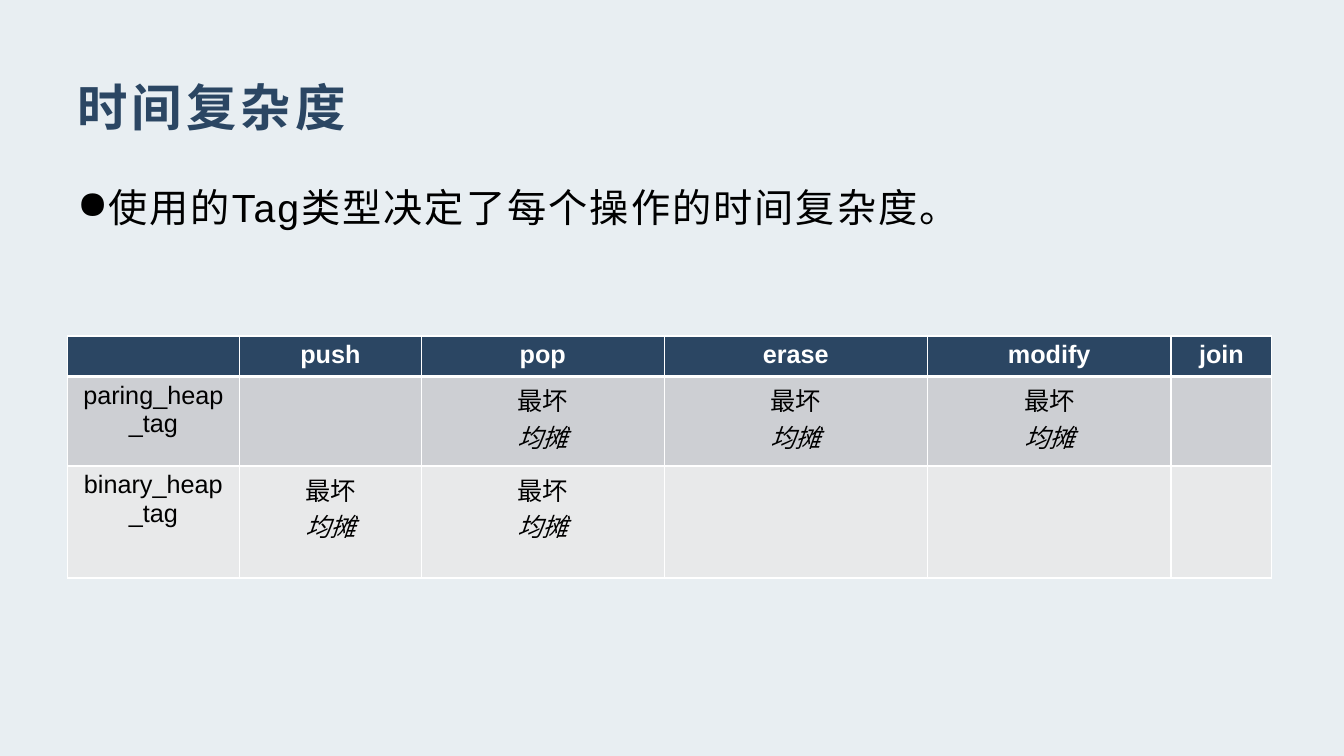
from dataclasses import dataclass

from lxml import etree
from pptx import Presentation
from pptx.dml.color import RGBColor
from pptx.enum import text
from pptx.oxml import ns
from pptx.util import Pt


@dataclass(frozen=True)
class Theme:
    background: str = "E8EEF2"
    accent: str = "2B4663"
    ink: str = "000000"
    white: str = "FFFFFF"
    bands: tuple = ("CDCFD3", "E8E9EA")
    latin: str = "Arial"
    serif: str = "Times New Roman"
    title_size: int = 36
    body_size: int = 28
    table_size: int = 18


class SlideBuilder:
    def __init__(self, prs, theme):
        self.theme = theme
        self.slide = prs.slides.add_slide(prs.slide_layouts[6])
        self.paint(self.slide.background.fill, theme.background)

    def paint(self, fill, color):
        fill.solid()
        fill.fore_color.rgb = RGBColor.from_string(color)

    def style(self, p, size, color, bold=False, italic=False, name=None, spacing=0):
        font = p.font
        font.name = name or self.theme.latin
        font.size = Pt(size)
        font.bold = bold
        font.italic = italic
        font.color.rgb = RGBColor.from_string(color)
        if spacing:
            p._p.pPr.find(ns.qn("a:defRPr")).set("spc", str(int(spacing * 100)))

    def text_box(self, words, box, size, color, anchor, bold=False, spacing=0):
        sp = self.slide.shapes.add_textbox(*map(Pt, box))
        tf = sp.text_frame
        tf.word_wrap = True
        tf.vertical_anchor = anchor
        p = tf.paragraphs[0]
        p.text = words
        self.style(p, size, color, bold, spacing=spacing)
        return p

    def bullet(self, p, char, indent):
        pPr = p._p.get_or_add_pPr()
        pPr.set("marL", str(Pt(indent)))
        pPr.set("indent", str(-Pt(indent)))
        bu = etree.Element(ns.qn("a:buChar"), char=char)
        pPr.find(ns.qn("a:defRPr")).addprevious(bu)

    def borders(self, cell, widths):
        tcPr = cell._tc.get_or_add_tcPr()
        for i, (side, width) in enumerate(widths.items()):
            ln = etree.Element(ns.qn(f"a:ln{side}"), w=str(Pt(width)))
            fill = etree.SubElement(ln, ns.qn("a:solidFill"))
            etree.SubElement(fill, ns.qn("a:srgbClr"), val=self.theme.white)
            tcPr.insert(i, ln)

    def cell(self, cell, words, row, col):
        theme = self.theme
        header = row == 0
        self.paint(cell.fill, theme.accent if header else theme.bands[row - 1])
        self.borders(cell, {"L": 1, "R": 1, "T": 3 if row == 1 else 1, "B": 3 if header else 1})
        cell.text = words
        name = theme.latin if header or col == 0 else theme.serif
        for i, p in enumerate(cell.text_frame.paragraphs):
            p.alignment = text.PP_ALIGN.CENTER
            self.style(p, theme.table_size, theme.white if header else theme.ink,
                       bold=header, italic=i > 0, name=name)

    def table(self, left, top, widths, heights, rows):
        frame = self.slide.shapes.add_table(
            len(rows), len(widths), Pt(left), Pt(top), Pt(sum(widths)), Pt(sum(heights)))
        table = frame.table
        for column, width in zip(table.columns, widths):
            column.width = Pt(width)
        for r, (height, values) in enumerate(zip(heights, rows)):
            table.rows[r].height = Pt(height)
            for c, words in enumerate(values):
                self.cell(table.cell(r, c), words, r, c)


def main():
    prs = Presentation()
    prs.slide_width, prs.slide_height = Pt(960), Pt(540)
    theme = Theme()
    builder = SlideBuilder(prs, theme)

    builder.text_box("时间复杂度", (48, 48, 864, 55.5), theme.title_size, theme.accent,
                     text.MSO_ANCHOR.MIDDLE, bold=True, spacing=3)
    p = builder.text_box("使用的Tag类型决定了每个操作的时间复杂度。", (48, 117.5, 864, 374.5),
                         theme.body_size, theme.ink, text.MSO_ANCHOR.TOP, spacing=1.5)
    p.line_spacing = 1.3
    p.space_after = Pt(10)
    builder.bullet(p, "●", 18)

    cost = "最坏\n均摊"
    builder.table(48, 240, (123, 130, 173.5, 188, 174, 72), (28.8, 64, 80), (
        ("", "push", "pop", "erase", "modify", "join"),
        ("paring_heap_tag", "", cost, cost, cost, ""),
        ("binary_heap_tag", cost, cost, "", "", ""),
    ))
    prs.save("out.pptx")


if __name__ == "__main__":
    main()
